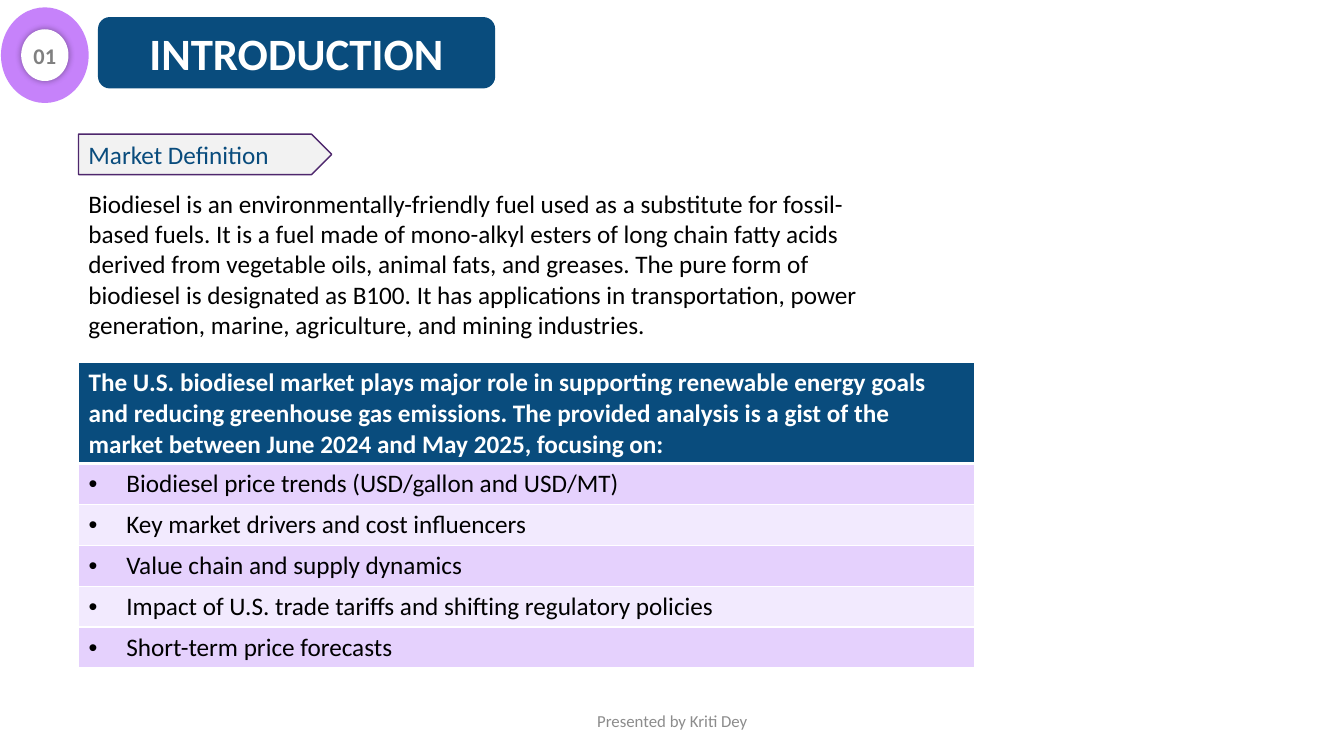
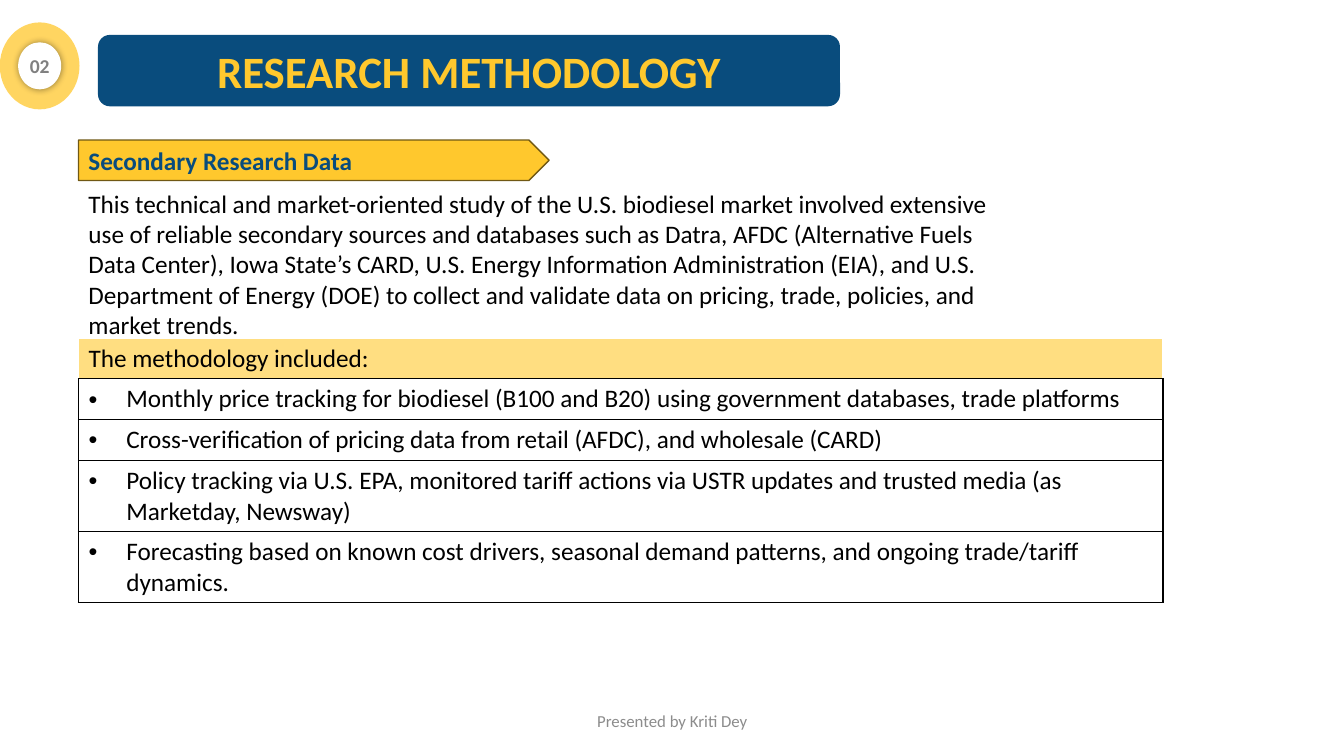
from lxml import etree
from pptx import Presentation
from pptx.dml.color import RGBColor
from pptx.enum.shapes import MSO_SHAPE
from pptx.enum.text import MSO_ANCHOR, PP_ALIGN
from pptx.oxml.ns import qn
from pptx.util import Cm, Pt

NAVY = RGBColor(0x09, 0x4C, 0x7D)
WHITE = RGBColor(0xFF, 0xFF, 0xFF)
BLACK = RGBColor(0x00, 0x00, 0x00)
GREY = RGBColor(0x80, 0x80, 0x80)
FOOTER_GREY = RGBColor(0x8C, 0x8C, 0x8C)
PALE_GREY = RGBColor(0xF2, 0xF2, 0xF2)
PURPLE = RGBColor(0xB3, 0x59, 0xF9)
PLUM = RGBColor(0x4E, 0x27, 0x6D)
LILAC = RGBColor(0xE5, 0xD1, 0xFD)
PALE_LILAC = RGBColor(0xF2, 0xEA, 0xFE)
GOLD = RGBColor(0xFF, 0xC8, 0x2D)
PALE_GOLD = RGBColor(0xFF, 0xDE, 0x81)
BRONZE = RGBColor(0x70, 0x58, 0x14)

OVAL = MSO_SHAPE.OVAL
ROUNDED = MSO_SHAPE.ROUNDED_RECTANGLE
PENTAGON = MSO_SHAPE.PENTAGON
LEFT, CENTER = PP_ALIGN.LEFT, PP_ALIGN.CENTER
TOP, MIDDLE = MSO_ANCHOR.TOP, MSO_ANCHOR.MIDDLE

FONT = "Calibri"
MARGIN = 1.98
ROW_H = 1.03
SIDES = ("L", "R", "T", "B")


def sub(parent, tag, **attrs):
    return etree.SubElement(parent, qn(tag), {k: str(v) for k, v in attrs.items()})


class Deck:
    """Holds the presentation, its style and the current slide."""

    def __init__(self):
        self.prs = Presentation()
        self.prs.slide_width, self.prs.slide_height = Cm(33.87), Cm(19.05)
        self.s = None

    def new_slide(self):
        self.s = self.prs.slides.add_slide(self.prs.slide_layouts[6])
        self.text("Presented by Kriti Dey", (11.23, 17.65, 11.43, 1.02),
                  align=CENTER, anchor=MIDDLE, size=12, color=FOOTER_GREY)

    def fill_text(self, tf, text, align=LEFT, size=18, color=BLACK, bold=False):
        p = tf.paragraphs[0]
        p.alignment = align
        r = p.add_run()
        r.text = text
        style = {"name": FONT, "size": Pt(size), "bold": bold}
        for key, value in style.items():
            setattr(r.font, key, value)
        r.font.color.rgb = color
        return p

    def text(self, text, box, anchor=TOP, parent=None, wrap=True, **style):
        sp = (parent or self.s).shapes.add_textbox(*map(Cm, box))
        tf = sp.text_frame
        tf.word_wrap = wrap
        tf.vertical_anchor = anchor
        self.fill_text(tf, text, **style)

    def shape(self, kind, box, fill, line=None, parent=None):
        sp = (parent or self.s).shapes.add_shape(kind, *map(Cm, box))
        sp.shadow.inherit = False
        sp.fill.solid()
        sp.fill.fore_color.rgb = fill
        if line is None:
            sp.line.fill.background()
        else:
            sp.line.color.rgb = line
            sp.line.width = Pt(1)
        return sp

    def label(self, kind, text, box, fill, line=None, **style):
        sp = self.shape(kind, box, fill, line)
        sp.text_frame.word_wrap = True
        sp.text_frame.vertical_anchor = MIDDLE
        self.fill_text(sp.text_frame, text, **style)

    def title(self, text, top, width, color):
        self.label(ROUNDED, text, (2.47, top, width, 1.8), NAVY,
                   align=CENTER, size=32, color=color, bold=True)

    def heading(self, text, top, width, fill, line, bold=False):
        self.label(PENTAGON, text, (MARGIN, top, width, 1.02), fill, line,
                   color=NAVY, bold=bold)

    def badge(self, number, cx, cy, width, color, size):
        """Numbered ring, centred on cx, cy; its parts scale with the width."""
        grp = self.s.shapes.add_group_shape()

        def centred(w, h):
            return cx - w / 2, cy - h / 2, w, h

        ring = self.shape(OVAL, centred(width, 1.09 * width), color, parent=grp)
        clr = ring._element.spPr.find(".//" + qn("a:srgbClr"))
        sub(clr, "a:alpha", val=75000)
        disc = self.shape(OVAL, centred(0.54 * width, 0.59 * width), WHITE, parent=grp)
        effects = disc._element.spPr.find(qn("a:effectLst"))
        shadow = sub(effects, "a:outerShdw", blurRad=Pt(5), dist=0, dir=0)
        sub(sub(shadow, "a:srgbClr", val=BLACK), "a:alpha", val=40000)
        self.text(number, centred(0.5 * width, 0.42 * width), parent=grp, wrap=False,
                  anchor=MIDDLE, align=CENTER, size=size, color=GREY, bold=True)

    def borders(self, cell, color, **overrides):
        """Draw all four sides at 1 pt; an override is side=(color, points)."""
        tcPr = cell._tc.get_or_add_tcPr()
        for i, side in enumerate(SIDES):
            rgb, points = overrides.get(side, (color, 1))
            ln = etree.Element(qn("a:ln" + side), {"w": str(Pt(points))})
            sub(sub(ln, "a:solidFill"), "a:srgbClr", val=rgb)
            tcPr.insert(i, ln)

    def list_table(self, top, width, header, items, heights, header_fill,
                   line, rule, bands=(None,), **header_style):
        """Header row over bulleted rows; rule is the width of the line between."""
        rows = len(items) + 1
        table = self.s.shapes.add_table(
            rows, 1, Cm(MARGIN), Cm(top), Cm(width), Cm(sum(heights))).table
        table.first_row = table.horz_banding = False
        for i, (text, height) in enumerate(zip([header, *items], heights)):
            table.rows[i].height = Cm(height)
            cell = table.cell(i, 0)
            fill = bands[(i - 1) % len(bands)] if i else header_fill
            if fill is None:
                cell.fill.background()
            else:
                cell.fill.solid()
                cell.fill.fore_color.rgb = fill
            if i == 0:
                self.fill_text(cell.text_frame, text, **header_style)
                self.borders(cell, WHITE, B=(line, rule))
                continue
            pPr = self.fill_text(cell.text_frame, text)._p.get_or_add_pPr()
            pPr.set("marL", str(Cm(0.95)))
            pPr.set("indent", str(-Cm(0.95)))
            sub(pPr, "a:buFont", typeface="Arial")
            sub(pPr, "a:buChar", char="•")
            self.borders(cell, line, **({"T": (line, rule)} if i == 1 else {}))


def introduction(deck):
    deck.new_slide()
    deck.title("INTRODUCTION", 0.43, 10.01, WHITE)
    deck.heading("Market Definition", 3.38, 6.38, PALE_GREY, PLUM)
    deck.text(
        "Biodiesel is an environmentally-friendly fuel used as a substitute for "
        "fossil-based fuels. It is a fuel made of mono-alkyl esters of long chain "
        "fatty acids derived from vegetable oils, animal fats, and greases. The pure "
        "form of biodiesel is designated as B100. It has applications in "
        "transportation, power generation, marine, agriculture, and mining industries.",
        (MARGIN, 4.62, 20.98, 4.11))
    deck.list_table(
        9.14, 22.58,
        "The U.S. biodiesel market plays major role in supporting renewable energy "
        "goals and reducing greenhouse gas emissions. The provided analysis is a gist "
        "of the market between June 2024 and May 2025, focusing on:",
        ["Biodiesel price trends (USD/gallon and USD/MT)",
         "Key market drivers and cost influencers",
         "Value chain and supply dynamics",
         "Impact of U.S. trade tariffs and shifting regulatory policies",
         "Short-term price forecasts"],
        [2.54] + [ROW_H] * 5, NAVY, WHITE, 3, (LILAC, PALE_LILAC),
        color=WHITE, bold=True)
    deck.badge("01", 1.13, 1.39, 2.21, PURPLE, 16)


def methodology(deck):
    deck.new_slide()
    deck.title("RESEARCH METHODOLOGY", 0.88, 18.7, GOLD)
    deck.text(
        "This technical and market-oriented study of the U.S. biodiesel market "
        "involved extensive use of reliable secondary sources and databases such as "
        "Datra, AFDC (Alternative Fuels Data Center), Iowa State’s CARD, U.S. Energy "
        "Information Administration (EIA), and U.S. Department of Energy (DOE) to "
        "collect and validate data on pricing, trade, policies, and market trends.",
        (MARGIN, 4.62, 23.83, 4.11))
    deck.heading("Secondary Research Data", 3.53, 11.86, GOLD, BRONZE, bold=True)
    deck.list_table(
        8.53, 27.33, "The methodology included:",
        ["Monthly price tracking for biodiesel (B100 and B20) using government "
         "databases, trade platforms",
         "Cross-verification of pricing data from retail (AFDC), and wholesale (CARD)",
         "Policy tracking via U.S. EPA, monitored tariff actions via USTR updates and "
         "trusted media (as Marketday, Newsway)",
         "Forecasting based on known cost drivers, seasonal demand patterns, and "
         "ongoing trade/tariff dynamics."],
        [1.0, ROW_H, ROW_H, 1.79, 1.79], PALE_GOLD, BLACK, 1)
    deck.badge("02", 1.0, 1.66, 2.01, GOLD, 14)


def main():
    deck = Deck()
    introduction(deck)
    methodology(deck)
    deck.prs.save("out.pptx")


if __name__ == "__main__":
    main()
